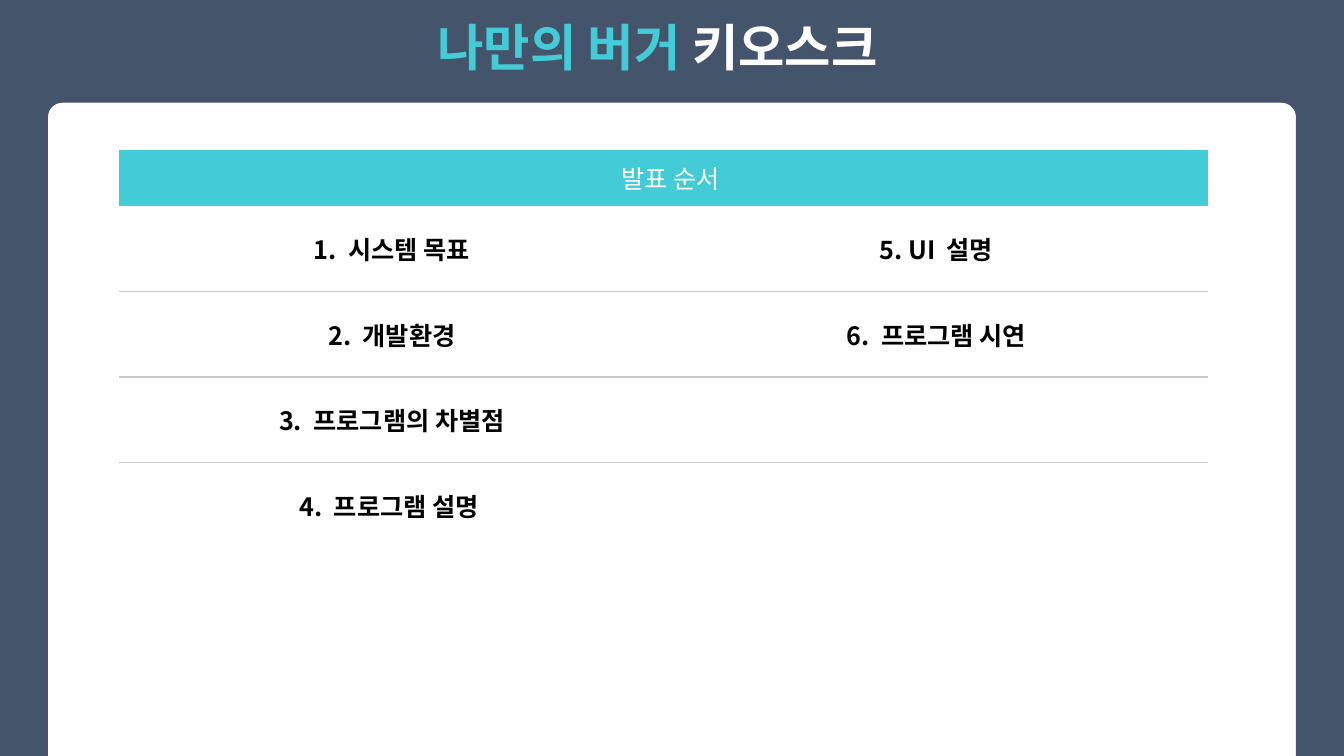
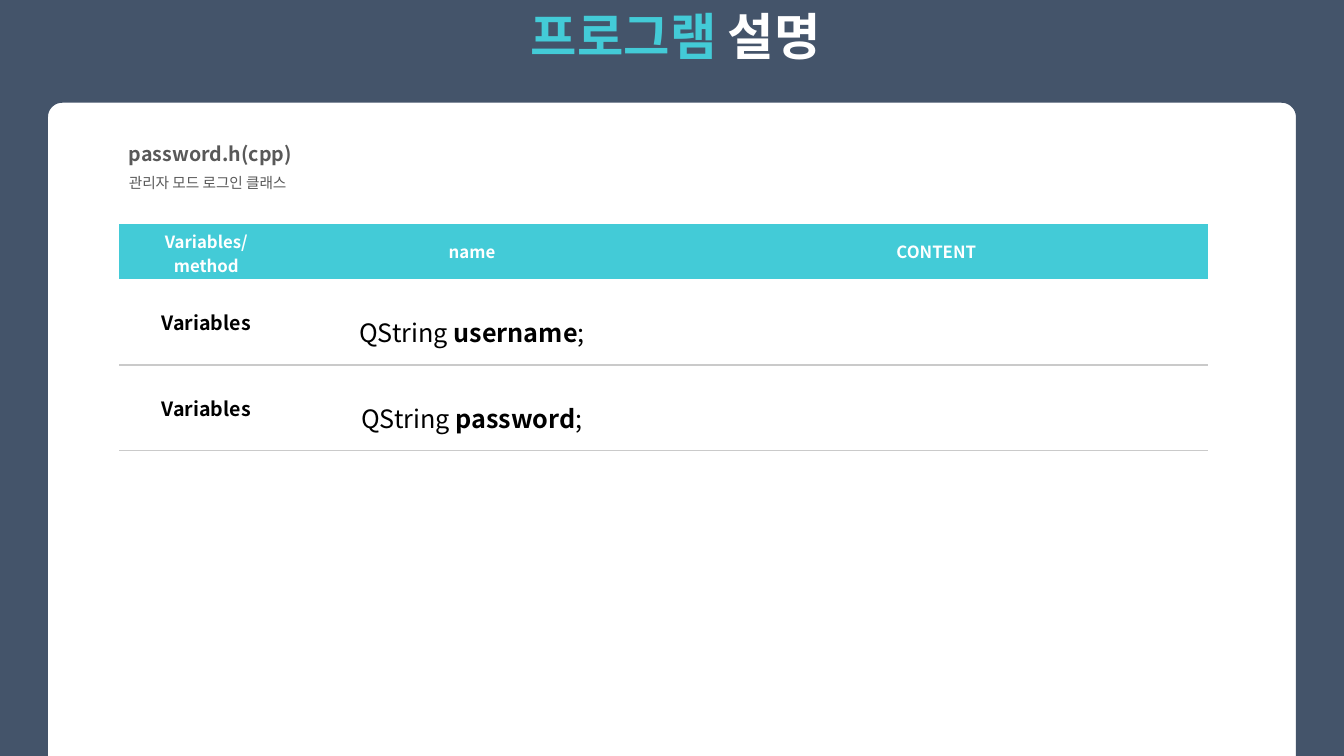
import math
from dataclasses import dataclass

from lxml import etree
from pptx import Presentation
from pptx import util as u
from pptx.dml.color import RGBColor
from pptx.enum import text
from pptx.oxml import ns

Cm, Pt = u.Cm, u.Pt


@dataclass(frozen=True)
class Theme:
    font: str = "Noto Sans CJK KR"
    frame: str = "44546A"
    accent: str = "43CBD7"
    white: str = "FFFFFF"
    black: str = "000000"
    gray: str = "595959"
    rule: str = "CACACA"
    title: float = 36
    body: float = 18
    label: float = 14
    header: float = 12
    caption: float = 10.5


THEME = Theme()
NO_STYLE = "{2D5ABB26-0587-4C30-8999-92F81FD0307C}"

# Content
AGENDA_TITLE = ("나만의 버거 ", "키오스크 ")
AGENDA_HEADER = "발표 순서"
AGENDA = [
    ("1.  시스템 목표", "5. UI  설명"),
    ("2.  개발환경", "6.  프로그램 시연"),
    ("3.  프로그램의 차별점", ""),
    ("4.  프로그램 설명 ", ""),
]
CLASS_TITLE = ("프로그램 ", "설명")
CLASS_NAME = "password.h(cpp)"
CLASS_ROLE = "관리자 모드 로그인 클래스"
MEMBER_HEADERS = [("Variables/", "method"), ("name",), ("CONTENT",)]
MEMBERS = [("Variables", "QString ", "username"), ("Variables", "QString ", "password")]

# Measures in centimetres
WIDTH, HEIGHT = 33.87, 19.05
MARGIN, PANEL_TOP, RADIUS = 1.21, 2.59, 0.36
LEFT = 3
HEADER_HEIGHT, ROW_HEIGHT = 1.4, 2.16
AGENDA_COLUMNS = [13.39, 14.05]
MEMBER_COLUMNS = [4.04, 9.35, 14.05]


def color(value):
    return RGBColor.from_string(value)


def set_east_asian(font):
    etree.SubElement(font._element, ns.qn("a:ea")).set("typeface", THEME.font)


def write(paragraph, runs, size, fill, bold=False, align=text.PP_ALIGN.CENTER, spacing=None):
    """Fill a paragraph; each run is a string or (string, bold, colour)."""
    paragraph.alignment = align
    if spacing:
        paragraph.line_spacing = spacing
    font = paragraph.font
    font.name, font.size, font.bold = THEME.font, Pt(size), bold
    font.color.rgb = color(fill)
    set_east_asian(font)
    for item in runs:
        run = paragraph.add_run()
        if isinstance(item, str):
            run.text = item
        else:
            run.text, run.font.bold, run_fill = item
            run.font.color.rgb = color(run_fill)


def add_frame(slide):
    """Dark border around a white panel with rounded upper corners."""
    right = WIDTH - MARGIN
    outline = [(WIDTH, 0), (WIDTH, HEIGHT), (right, HEIGHT)]
    for center_x, start in ((right - RADIUS, 0), (MARGIN + RADIUS, 90)):
        for step in range(0, 91, 10):
            angle = math.radians(start + step)
            outline.append((center_x + RADIUS * math.cos(angle),
                            PANEL_TOP + RADIUS - RADIUS * math.sin(angle)))
    outline += [(MARGIN, HEIGHT), (0, HEIGHT)]
    builder = slide.shapes.build_freeform(0, 0)
    builder.add_line_segments([(Cm(x), Cm(y)) for x, y in outline], close=True)
    frame = builder.convert_to_shape()
    frame.shadow.inherit = False
    frame.fill.solid()
    frame.fill.fore_color.rgb = color(THEME.frame)
    frame.line.fill.background()
    slide.shapes._spTree.insert(2, frame._element)


def add_slide(presentation, title, left, top, width):
    slide = presentation.slides.add_slide(presentation.slide_layouts[5])
    add_frame(slide)
    shape = slide.shapes.title
    shape.left, shape.top, shape.width, shape.height = Cm(left), Cm(top), Cm(width), Cm(1.8)
    frame = shape.text_frame
    frame.word_wrap = False
    frame.vertical_anchor = text.MSO_ANCHOR.TOP
    frame.auto_size = text.MSO_AUTO_SIZE.SHAPE_TO_FIT_TEXT
    first, second = title
    write(frame.paragraphs[0], [(first, True, THEME.accent), (second, True, THEME.white)],
          THEME.title, THEME.white, True)
    return slide


def add_rule(cell):
    line = etree.Element(ns.qn("a:lnB"), w=str(Pt(1)))
    fill = etree.SubElement(line, ns.qn("a:solidFill"))
    etree.SubElement(fill, ns.qn("a:srgbClr"), val=THEME.rule)
    cell._tc.get_or_add_tcPr().insert(0, line)


def add_table(slide, top, columns, row_count, ruled_rows):
    """Table with a coloured header and rules below the given rows."""
    height = HEADER_HEIGHT + ROW_HEIGHT * row_count
    frame = slide.shapes.add_table(row_count + 1, len(columns), Cm(LEFT), Cm(top),
                                   Cm(sum(columns)), Cm(height))
    table = frame.table
    table._tbl.tblPr.find(ns.qn("a:tableStyleId")).text = NO_STYLE
    for column, width in zip(table.columns, columns):
        column.width = Cm(width)
    for index, row in enumerate(table.rows):
        row.height = Cm(ROW_HEIGHT if index else HEADER_HEIGHT)
        for cell in row.cells:
            cell.vertical_anchor = text.MSO_ANCHOR.MIDDLE
            cell.margin_left, cell.margin_right = Cm(0.61), Cm(0.25)
            cell.margin_top = cell.margin_bottom = Cm(0.13)
            if index:
                cell.fill.background()
            else:
                cell.fill.solid()
                cell.fill.fore_color.rgb = color(THEME.accent)
            if 1 <= index <= ruled_rows:
                add_rule(cell)
    return table


def write_cell(cell, runs, *style, **options):
    write(cell.text_frame.paragraphs[0], runs, *style, **options)


def build_agenda(presentation):
    slide = add_slide(presentation, AGENDA_TITLE, 10.39, 0.28, 12.65)
    table = add_table(slide, 3.78, AGENDA_COLUMNS, len(AGENDA), len(AGENDA) - 1)
    header = table.cell(0, 0)
    header.merge(table.cell(0, 1))
    write_cell(header, [AGENDA_HEADER], THEME.body, THEME.white)
    for row, topics in enumerate(AGENDA, 1):
        for column, topic in enumerate(topics):
            if topic:
                write_cell(table.cell(row, column), [topic], THEME.body, THEME.black, True)


def build_class(presentation):
    slide = add_slide(presentation, CLASS_TITLE, 12.93, 0, 8.2)
    table = add_table(slide, 5.64, MEMBER_COLUMNS, len(MEMBERS), len(MEMBERS))
    for column, lines in enumerate(MEMBER_HEADERS):
        frame = table.cell(0, column).text_frame
        for index, line in enumerate(lines):
            paragraph = frame.add_paragraph() if index else frame.paragraphs[0]
            write(paragraph, [line], THEME.header, THEME.white, True)
    for row, (kind, type_name, name) in enumerate(MEMBERS, 1):
        write_cell(table.cell(row, 0), [kind], THEME.label, THEME.black, True)
        write_cell(table.cell(row, 1), [type_name, (name, True, THEME.black), ";"],
                   THEME.body, THEME.black, spacing=1.5)

    # Class name and role above the table
    box = slide.shapes.add_textbox(Cm(LEFT), Cm(3.15), Cm(16.41), Cm(1.83))
    frame = box.text_frame
    frame.word_wrap = True
    frame.auto_size = text.MSO_AUTO_SIZE.SHAPE_TO_FIT_TEXT
    layout = {"align": text.PP_ALIGN.LEFT, "spacing": 1.5}
    write(frame.paragraphs[0], [CLASS_NAME], THEME.label, THEME.gray, True, **layout)
    write(frame.add_paragraph(), [CLASS_ROLE], THEME.caption, THEME.gray, **layout)


def main():
    presentation = Presentation()
    presentation.slide_width, presentation.slide_height = Cm(WIDTH), Cm(HEIGHT)
    build_agenda(presentation)
    build_class(presentation)
    presentation.save("out.pptx")


if __name__ == "__main__":
    main()
